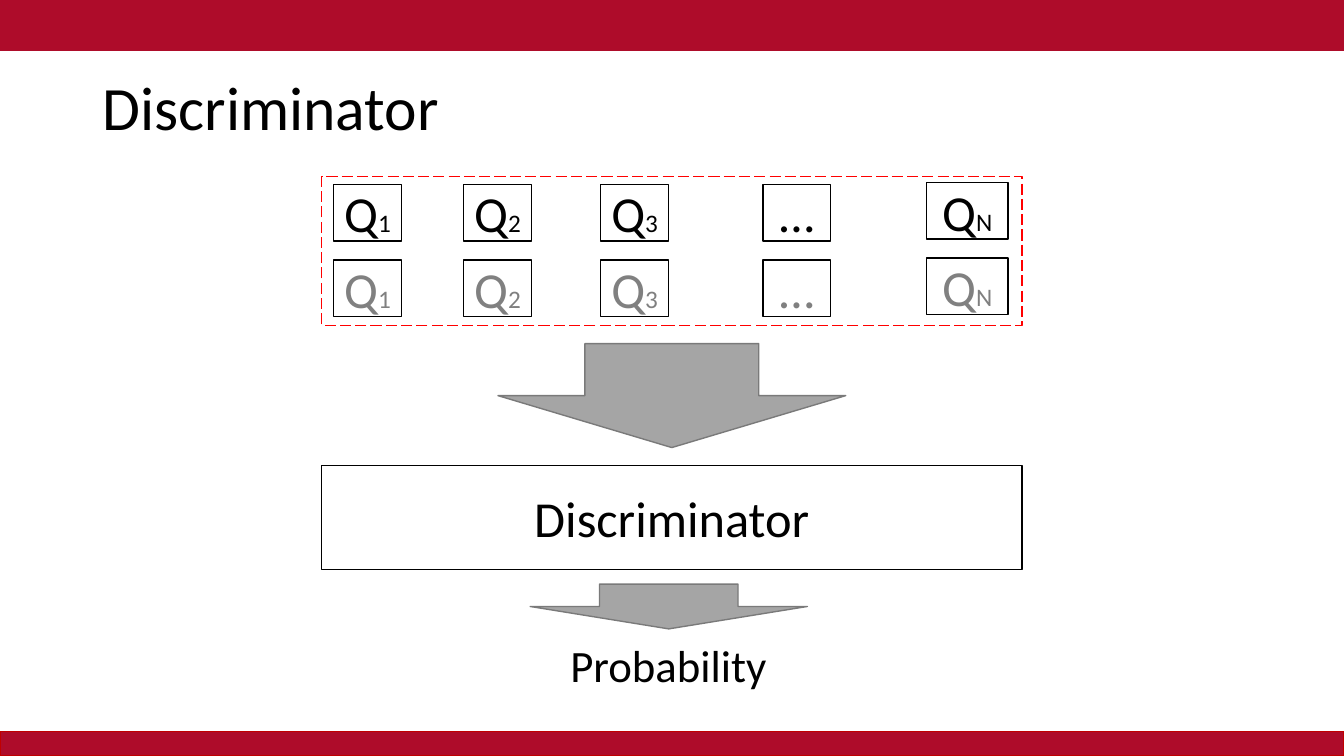
from pptx import Presentation
from pptx.dml.color import RGBColor
from pptx.enum.dml import MSO_LINE
from pptx.enum.shapes import MSO_SHAPE
from pptx.enum.text import MSO_ANCHOR, PP_ALIGN
from pptx.util import Pt

RECTANGLE, DOWN_ARROW = MSO_SHAPE.RECTANGLE, MSO_SHAPE.DOWN_ARROW
LONG_DASH = MSO_LINE.LONG_DASH
MIDDLE, TOP = MSO_ANCHOR.MIDDLE, MSO_ANCHOR.TOP
LEFT, CENTER = PP_ALIGN.LEFT, PP_ALIGN.CENTER

COLORS = {
    "crimson": "AE0C2A", "dark red": "C00000", "red": "FF0000",
    "black": "000000", "white": "FFFFFF", "gray": "808080",
    "arrow": "A5A5A5", "arrow edge": "7A7A7A",
}
FONT = "Calibri"
SLIDE_WIDTH, SLIDE_HEIGHT = 960, 540

BANDS = [
    ((0, 522.7, SLIDE_WIDTH, 17.3), "dark red"),
    ((0, 0, SLIDE_WIDTH, 36), "crimson"),
]
TITLE = ("Discriminator", (66.2, 26.6, 828, 104.4))
RESULT = ("Probability", (400.3, 452.2, 160, 46))
QUESTION_COLUMNS = [
    ("Q", "1", 238.3, 48.4, 0),
    ("Q", "2", 331.2, 48.4, 0),
    ("Q", "3", 429.1, 48.4, 0),
    ("…", "", 545, 48.4, 0),
    ("Q", "N", 661.7, 58.4, -1.4),
]
QUESTION_ROWS = [(131.8, "black"), (185.8, "gray")]
QUESTION_HEIGHT = 40.4
QUESTION_FRAME = (229.7, 126, 500.4, 106.5)
DISCRIMINATOR = ("Discriminator", (229.7, 332.6, 500.4, 74.2))
ARROWS = [(355.7, 245.5, 248.4, 74.2), (378.7, 417.2, 198, 32)]


def rgb(name):
    return RGBColor.from_string(COLORS[name])


def write(box, text, size, color="black", align=CENTER, anchor=MIDDLE,
          subscript="", side=7.2, spacing=1.0):
    frame = box.text_frame
    frame.word_wrap = True
    frame.vertical_anchor = anchor
    frame.margin_left = frame.margin_right = Pt(side)
    para = frame.paragraphs[0]
    para.alignment = align
    para.line_spacing = spacing
    for content, points in ((text, size), (subscript, size / 2)):
        if content:
            span = para.add_run()
            span.text = content
            span.font.name = FONT
            span.font.size = Pt(points)
            span.font.color.rgb = rgb(color)


def add_box(page, place, line, fill=None, kind=RECTANGLE):
    box = page.shapes.add_shape(kind, *map(Pt, place))
    box.shadow.inherit = False
    if fill:
        box.fill.solid()
        box.fill.fore_color.rgb = rgb(fill)
    else:
        box.fill.background()
    box.line.color.rgb = rgb(line)
    box.line.width = Pt(1)
    return box


def add_label(page, place):
    return page.shapes.add_textbox(*map(Pt, place))


def main():
    deck = Presentation()
    deck.slide_width, deck.slide_height = Pt(SLIDE_WIDTH), Pt(SLIDE_HEIGHT)
    page = deck.slides.add_slide(deck.slide_layouts[6])

    for place, line in BANDS:
        add_box(page, place, line, "crimson")

    text, place = TITLE
    write(add_label(page, place), text, 44, align=LEFT, spacing=0.9)

    for top, color in QUESTION_ROWS:
        for text, subscript, left, width, shift in QUESTION_COLUMNS:
            place = (left, top + shift, width, QUESTION_HEIGHT)
            write(add_box(page, place, "black"), text, 36, color=color,
                  subscript=subscript, side=3.6)
    add_box(page, QUESTION_FRAME, "red").line.dash_style = LONG_DASH

    text, place = DISCRIMINATOR
    write(add_box(page, place, "black", "white"), text, 36)
    for place in ARROWS:
        add_box(page, place, "arrow edge", "arrow", DOWN_ARROW)

    text, place = RESULT
    write(add_label(page, place), text, 32, align=LEFT, anchor=TOP)

    deck.save("out.pptx")


if __name__ == "__main__":
    main()
